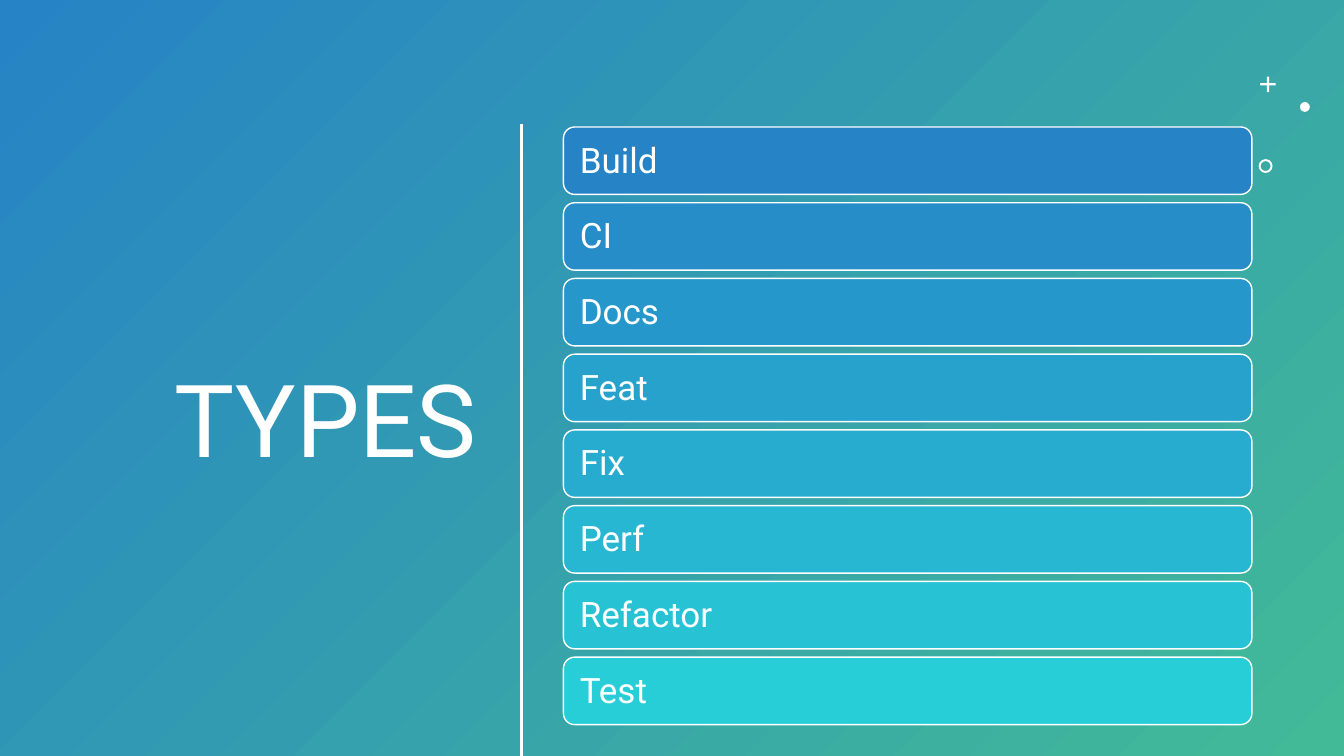
import pptx
import pptx.dml.color
import pptx.enum.shapes
import pptx.enum.text
import pptx.util
from lxml import etree
from pptx.util import Cm

SHAPE = pptx.enum.shapes.MSO_SHAPE
ALIGN = pptx.enum.text.PP_ALIGN
FONT = "Roboto"
WHITE = "FFFFFF"
BLUE, GREEN = "2683C6", "42BA97"
WIDTH, HEIGHT = 33.87, 19.05
TYPES = [
    ("Build", BLUE),
    ("CI", "268DC8"),
    ("Docs", "2697CB"),
    ("Feat", "26A2CD"),
    ("Fix", "27ACD0"),
    ("Perf", "27B7D2"),
    ("Refactor", "27C3D5"),
    ("Test", "27CED7"),
]


def color(value):
    return pptx.dml.color.RGBColor.from_string(value)


def write(s, text, size, align=ALIGN.LEFT, insets=(0.25, 0.13, 0.25, 0.13)):
    """Fill a shape with one line of text; insets are left, top, right, bottom."""
    tf = s.text_frame
    tf.word_wrap = True
    tf.vertical_anchor = pptx.enum.text.MSO_ANCHOR.MIDDLE
    tf.margin_left, tf.margin_top, tf.margin_right, tf.margin_bottom = map(Cm, insets)
    p = tf.paragraphs[0]
    p.alignment = align
    p.line_spacing = 0.9
    r = p.add_run()
    r.text = text
    r.font.name = FONT
    r.font.size = pptx.util.Pt(size)
    r.font.color.rgb = color(WHITE)


def add_shape(slide, kind, x, y, w, h, fill=WHITE, line=None):
    s = slide.shapes.add_shape(kind, Cm(x), Cm(y), Cm(w), Cm(h))
    s.shadow.inherit = False
    s.fill.solid()
    s.fill.fore_color.rgb = color(fill)
    if line:
        s.line.color.rgb = color(line)
        s.line.width = pptx.util.Pt(1)
    else:
        s.line.fill.background()
    return s


def add_backdrop(slide, x, y, w, h):
    s = add_shape(slide, SHAPE.RECTANGLE, x, y, w, h)
    s.fill.gradient()
    s.fill.gradient_angle = 315
    for stop, value in zip(s.fill.gradient_stops, (BLUE, GREEN)):
        stop.color.rgb = color(value)


def add_title(slide, x, y, w, h):
    s = slide.shapes.add_textbox(Cm(x), Cm(y), Cm(w), Cm(h))
    write(s, "TYPES", 72, align=ALIGN.RIGHT)


def add_divider(slide, x, top, bottom):
    line = slide.shapes.add_connector(
        pptx.enum.shapes.MSO_CONNECTOR.STRAIGHT, Cm(x), Cm(top), Cm(x), Cm(bottom))
    line.line.color.rgb = color(WHITE)
    line.line.width = pptx.util.Pt(2)
    etree.SubElement(line._element.spPr, pptx.oxml.ns.qn("a:effectLst"))


def add_type_bars(slide, x, y, w, h, bar_height=1.7):
    """Spread the bars evenly from the top to the bottom of the box."""
    pitch = (h - bar_height) / (len(TYPES) - 1)
    for i, (name, fill) in enumerate(TYPES):
        bar = add_shape(slide, SHAPE.ROUNDED_RECTANGLE, x, y + i * pitch, w, bar_height,
                        fill=fill, line=WHITE)
        write(bar, name, 25, insets=(0.33, 0.18, 0.33, 0.13))


def add_ornaments(slide, x, y):
    plus = add_shape(slide, SHAPE.CROSS, x + 0.04, y, 0.39, 0.39)
    plus.adjustments[0] = 0.43
    add_shape(slide, SHAPE.OVAL, x + 1.04, y + 0.64, 0.25, 0.25)
    ring = add_shape(slide, SHAPE.DONUT, x, y + 2.08, 0.35, 0.35)
    ring.adjustments[0] = 0.14


def main():
    prs = pptx.Presentation()
    prs.slide_width, prs.slide_height = Cm(WIDTH), Cm(HEIGHT)
    slide = prs.slides.add_slide(prs.slide_layouts[6])
    add_backdrop(slide, 0, 0, WIDTH, HEIGHT)
    add_title(slide, 1.32, 2.95, 10.95, 15.52)
    add_ornaments(slide, 31.72, 1.93)
    add_divider(slide, 13.14, 3.12, HEIGHT)
    add_type_bars(slide, 14.2, 3.2, 17.35, 15.06)
    prs.save("out.pptx")


if __name__ == "__main__":
    main()
